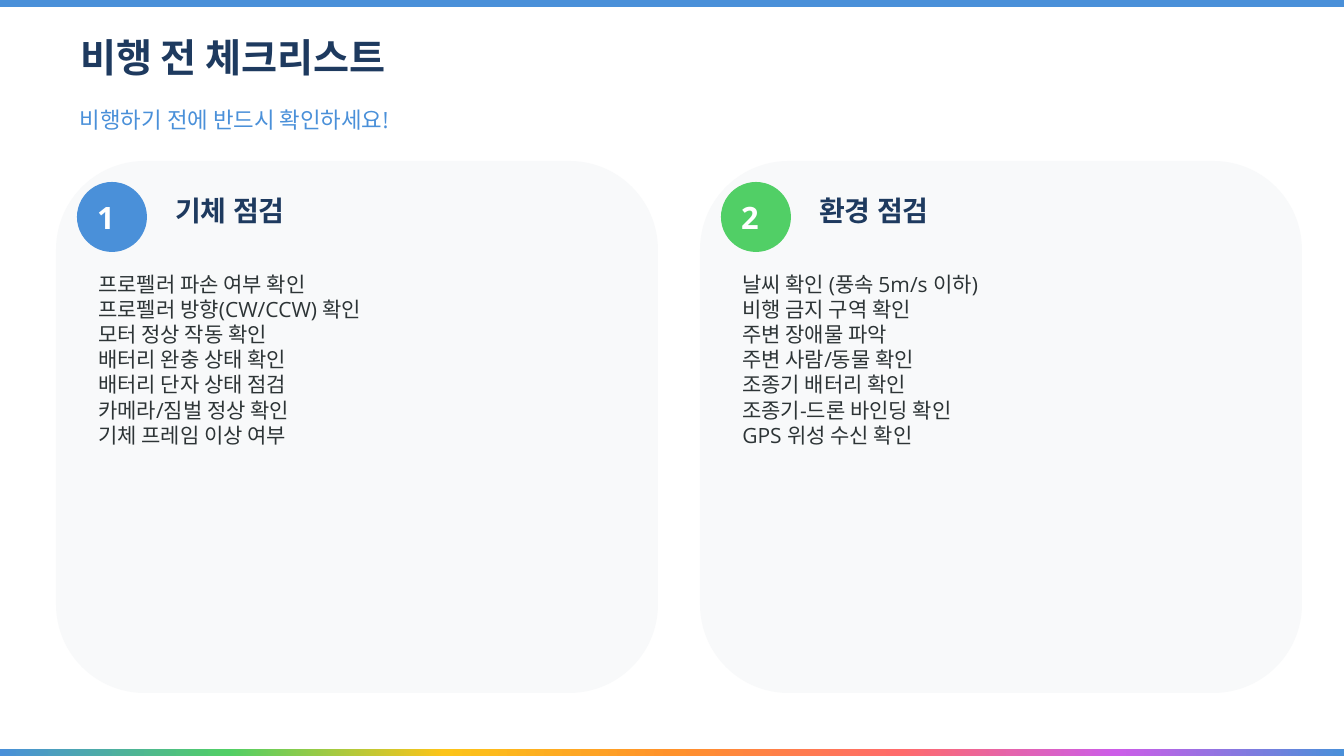
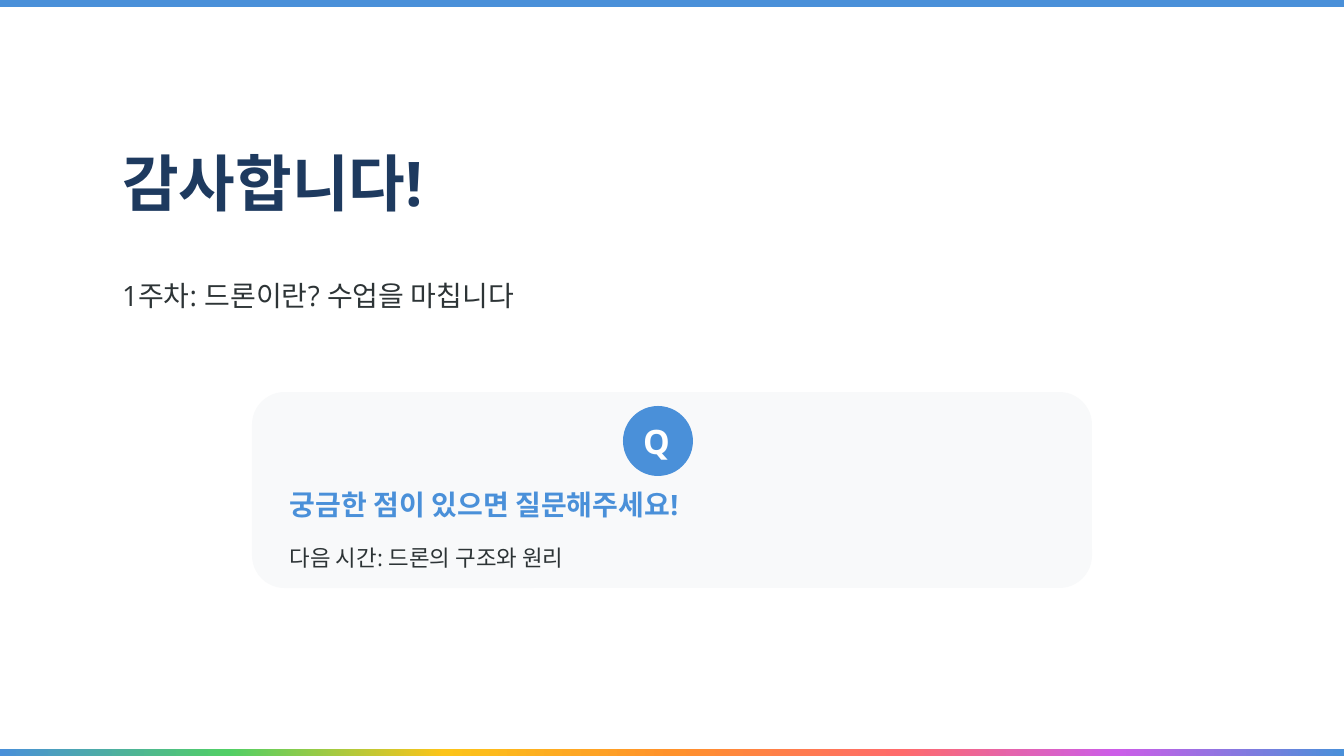
from dataclasses import dataclass

from lxml import etree
from pptx import Presentation
from pptx.dml import color
from pptx.enum import shapes, text
from pptx.oxml import ns
from pptx.util import Pt

WIDTH, HEIGHT = 960, 540
BAND_HEIGHT = 5
BADGE_SIZE = 50
FONT = "Open Sans"
NAVY = "1E3A5F"
BLUE = "4A90D9"
GREEN = "51CF66"
INK = "2D3436"
PANEL = "F8F9FA"
WHITE = "FFFFFF"
RAINBOW = [(0, BLUE), (17, GREEN), (33, "FCC419"), (50, "FF922B"),
           (67, "FF6B6B"), (83, "CC5DE8"), (100, BLUE)]


@dataclass(frozen=True)
class Box:
    left: float
    top: float
    width: float
    height: float


@dataclass(frozen=True)
class Checklist:
    number: str
    accent: str
    heading: str
    items: tuple[str, ...]


CHECKLISTS = (
    Checklist("1", BLUE, "기체 점검", (
        "프로펠러 파손 여부 확인",
        "프로펠러 방향(CW/CCW) 확인",
        "모터 정상 작동 확인",
        "배터리 완충 상태 확인",
        "배터리 단자 상태 점검",
        "카메라/짐벌 정상 확인",
        "기체 프레임 이상 여부",
    )),
    Checklist("2", GREEN, "환경 점검", (
        "날씨 확인 (풍속 5m/s 이하)",
        "비행 금지 구역 확인",
        "주변 장애물 파악",
        "주변 사람/동물 확인",
        "조종기 배터리 확인",
        "조종기-드론 바인딩 확인",
        "GPS 위성 수신 확인",
    )),
)


def rgb(value: str) -> color.RGBColor:
    return color.RGBColor.from_string(value)


def place(shape, box: Box) -> None:
    shape.left, shape.top = Pt(box.left), Pt(box.top)
    shape.width, shape.height = Pt(box.width), Pt(box.height)


def write(shape, content: str, *, size: float, fill: str = INK, bold: bool = False,
          wrap: bool = True, anchor=text.MSO_ANCHOR.TOP,
          line_spacing: float | None = None, indent: float = 0) -> None:
    frame = shape.text_frame
    frame.text = content
    frame.word_wrap = wrap
    frame.auto_size = text.MSO_AUTO_SIZE.NONE
    frame.vertical_anchor = anchor
    for paragraph in frame.paragraphs:
        paragraph.alignment = text.PP_ALIGN.LEFT
        paragraph.space_before = Pt(0)
        if line_spacing:
            paragraph.line_spacing = Pt(line_spacing)
        properties = paragraph._p.get_or_add_pPr()
        properties.set("marL", str(Pt(indent)))
        properties.set("indent", "0")
        etree.SubElement(properties, ns.qn("a:buNone"))
        for run in paragraph.runs:
            run.font.name = FONT
            run.font.size = Pt(size)
            run.font.bold = bold
            run.font.color.rgb = rgb(fill)


def fill_placeholder(placeholder, box: Box, content: str, **style) -> None:
    place(placeholder, box)
    write(placeholder, content, **style)
    placeholder.element.getparent().append(placeholder.element)


def add_text(slide, box: Box, content: str, **style) -> None:
    shape = slide.shapes.add_textbox(0, 0, 0, 0)
    place(shape, box)
    write(shape, content, **style)


def add_shape(slide, kind, box: Box, fill: str):
    shape = slide.shapes.add_shape(kind, 0, 0, 0, 0)
    place(shape, box)
    shape.shadow.inherit = False
    shape.fill.solid()
    shape.fill.fore_color.rgb = rgb(fill)
    shape.line.fill.background()
    return shape


def add_panel(slide, box: Box) -> None:
    add_shape(slide, shapes.MSO_SHAPE.ROUNDED_RECTANGLE, box, PANEL)


def add_badge(slide, left: float, top: float, label: str, fill: str, size: float) -> None:
    badge = add_shape(slide, shapes.MSO_SHAPE.OVAL,
                      Box(left, top, BADGE_SIZE, BADGE_SIZE), fill)
    write(badge, label, size=size, fill=WHITE, bold=True, wrap=False,
          anchor=text.MSO_ANCHOR.MIDDLE)


def add_bands(slide) -> None:
    rectangle = shapes.MSO_SHAPE.RECTANGLE
    add_shape(slide, rectangle, Box(0, 0, WIDTH, BAND_HEIGHT), BLUE)
    footer = add_shape(slide, rectangle,
                       Box(0, HEIGHT - BAND_HEIGHT, WIDTH, BAND_HEIGHT), BLUE)
    footer.fill.gradient()
    footer.fill.gradient_angle = 0
    stops = footer.element.xpath(".//a:gsLst")[0]
    for stop in list(stops):
        stops.remove(stop)
    for percent, value in RAINBOW:
        stop = etree.SubElement(stops, ns.qn("a:gs"), pos=str(percent * 1000))
        etree.SubElement(stop, ns.qn("a:srgbClr"), val=value)


def add_checklist(slide, placeholder, left: float, checklist: Checklist) -> None:
    add_panel(slide, Box(left, 115, 430, 380))
    add_badge(slide, left + 15, 130, checklist.number, checklist.accent, 22)
    add_text(slide, Box(left + 78, 135, 330, 36), checklist.heading,
             size=20, fill=NAVY, bold=True)
    fill_placeholder(placeholder, Box(left + 15, 190, 400, 290),
                     "\n".join(checklist.items), size=15, line_spacing=18, indent=8)


def build_checklist_slide(presentation) -> None:
    slide = presentation.slides.add_slide(presentation.slide_layouts[3])
    title, *bodies = slide.placeholders
    fill_placeholder(title, Box(50, 20, 860, 50), "비행 전 체크리스트",
                     size=28, fill=NAVY, bold=True)
    add_text(slide, Box(50, 72, 860, 28), "비행하기 전에 반드시 확인하세요!",
             size=16, fill=BLUE)
    for index, (body, checklist) in enumerate(zip(bodies, CHECKLISTS)):
        add_checklist(slide, body, 40 + 460 * index, checklist)
    add_bands(slide)


def build_closing_slide(presentation) -> None:
    slide = presentation.slides.add_slide(presentation.slide_layouts[0])
    title, subtitle = slide.placeholders
    fill_placeholder(title, Box(80, 100, 800, 80), "감사합니다!",
                     size=44, fill=NAVY, bold=True)
    fill_placeholder(subtitle, Box(80, 195, 800, 40),
                     "1주차: 드론이란? 수업을 마칩니다", size=20)
    add_panel(slide, Box(180, 280, 600, 140))
    add_badge(slide, 445, 290, "Q", BLUE, 24)
    add_text(slide, Box(200, 345, 560, 40), "궁금한 점이 있으면 질문해주세요!",
             size=20, fill=BLUE, bold=True)
    add_text(slide, Box(200, 385, 560, 30), "다음 시간: 드론의 구조와 원리", size=16)
    add_bands(slide)


def main() -> None:
    presentation = Presentation()
    presentation.slide_width, presentation.slide_height = Pt(WIDTH), Pt(HEIGHT)
    build_checklist_slide(presentation)
    build_closing_slide(presentation)
    presentation.save("out.pptx")


if __name__ == "__main__":
    main()
